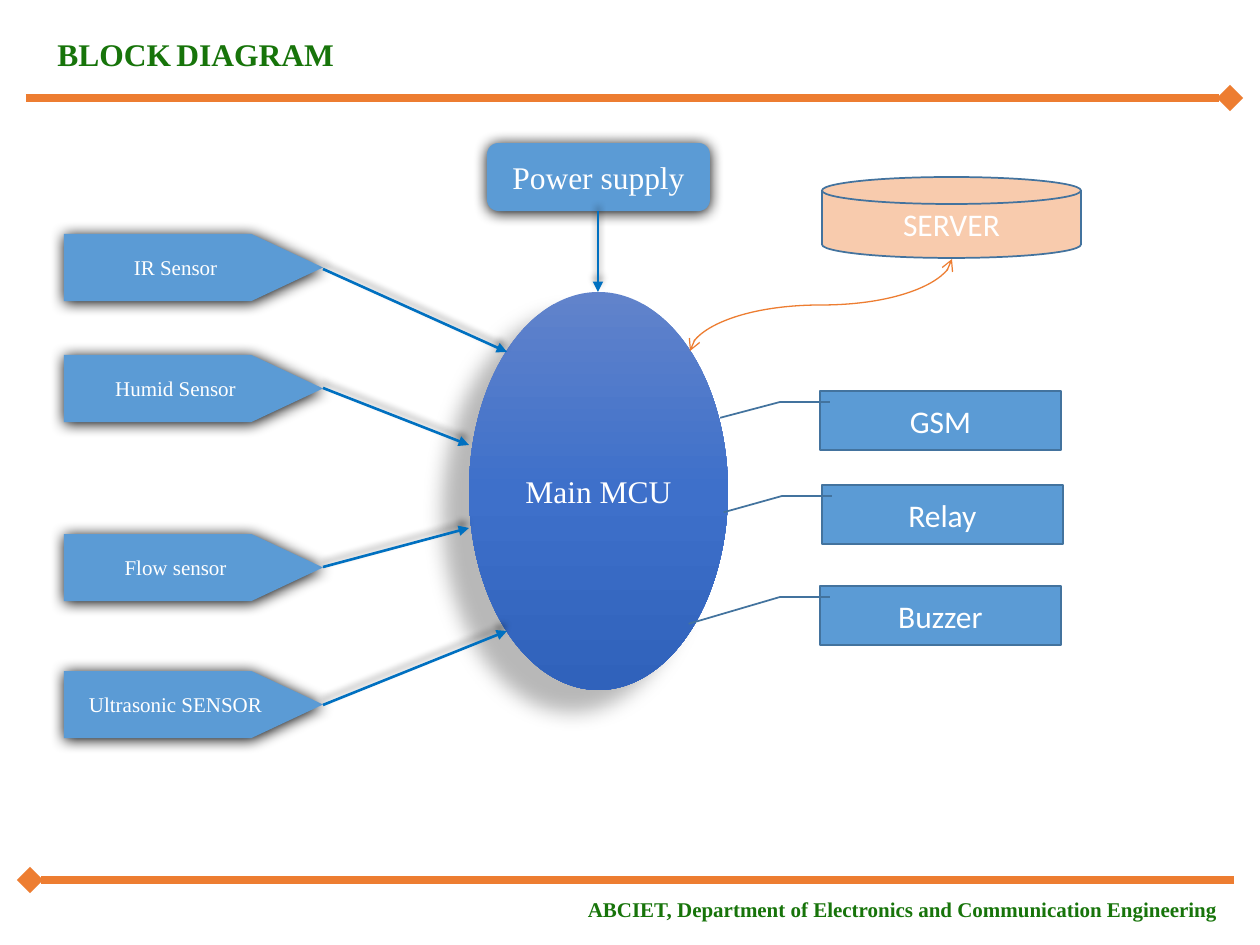
from lxml import etree
from copy import deepcopy
from pptx import Presentation
from pptx.dml.color import RGBColor
from pptx.enum.shapes import MSO_CONNECTOR, MSO_SHAPE
from pptx.enum.text import MSO_ANCHOR, PP_ALIGN
from pptx.oxml.ns import qn
from pptx.util import Emu, Pt

ELLIPSE = MSO_SHAPE.OVAL
PLATE = MSO_SHAPE.PENTAGON
ROUNDED = MSO_SHAPE.FLOWCHART_ALTERNATE_PROCESS
DISK = MSO_SHAPE.FLOWCHART_MAGNETIC_DISK
CALLOUT = MSO_SHAPE.LINE_CALLOUT_2
STRAIGHT = MSO_CONNECTOR.STRAIGHT
CURVE = MSO_CONNECTOR.CURVE
CENTER, RIGHT, LEFT = PP_ALIGN.CENTER, PP_ALIGN.RIGHT, PP_ALIGN.LEFT
MIDDLE = MSO_ANCHOR.MIDDLE

PX = 914400 / 126
SERIF, SANS = "Times New Roman", "Calibri"
GREEN, ORANGE, BLUE, ARROW, EDGE = "17740A", "ED7D31", "5B9BD5", "0070C0", "43739E"
rgb = RGBColor.from_string
GLOW = (100, 8.5, 1, 90)
ARROW_SHADOW = (40, 4, 3, 270)


def add_shadow(effects, alpha, blur, dist, angle):
    shadow = etree.SubElement(effects, qn("a:outerShdw"), blurRad=str(Pt(blur)),
                              dist=str(Pt(dist)), dir=str(angle * 60000),
                              algn="ctr", rotWithShape="0")
    color = etree.SubElement(shadow, qn("a:srgbClr"), val="000000")
    etree.SubElement(color, qn("a:alpha"), val=str(alpha * 1000))


def add_box(kind, at, text, size, font, fill, edge=None, shadow=None, adj=()):
    sp = s.shapes.add_shape(kind, *[Emu(round(v * PX)) for v in at])
    for i, value in enumerate(adj):
        sp.adjustments[i] = value
    sp.fill.solid()
    sp.fill.fore_color.rgb = rgb(fill)
    if edge:
        sp.line.color.rgb = rgb(edge)
        sp.line.width = Pt(1)
    else:
        sp.line.fill.background()
    sp.shadow.inherit = False
    if shadow:
        add_shadow(sp._element.spPr.find(qn("a:effectLst")), *shadow)
    tf = sp.text_frame
    tf.text = text
    tf.vertical_anchor = MIDDLE
    p = tf.paragraphs[0]
    p.alignment = CENTER
    f = p.runs[0].font
    f.size, f.name, f.color.rgb = Pt(size), font, rgb("FFFFFF")
    return sp


prs = Presentation()
prs.slide_width, prs.slide_height = Emu(round(1260 * PX)), Emu(round(945 * PX))
s = prs.slides.add_slide(prs.slide_layouts[6])

texts = [
    ((45, 29, 617, 50), LEFT, [("BLOCK", 18), (" ", 12), ("DIAGRAM", 18)]),
    ((64, 890, 1166, 38), RIGHT,
     [("ABCIET, Department of Electronics and Communication Engineering", 12)]),
]
for at, align, pieces in texts:
    tf = s.shapes.add_textbox(*[Emu(round(v * PX)) for v in at]).text_frame
    tf.word_wrap = True
    p = tf.paragraphs[0]
    p.alignment = align
    for text, size in pieces:
        r = p.add_run()
        r.text = text
        f = r.font
        f.size, f.name, f.bold, f.color.rgb = Pt(size), SERIF, True, rgb(GREEN)

mcu = add_box(ELLIPSE, (469, 292, 259, 398), "Main MCU", 18, SERIF, BLUE,
              shadow=(28, 11.8, 19.7, 141))
mcu.fill.gradient()
mcu.fill.gradient_angle = 270
stops = mcu._element.spPr.find(qn("a:gradFill")).find(qn("a:gsLst"))
stops.append(deepcopy(stops[0]))
for stop, position, color in zip(mcu.fill.gradient_stops, (0, 0.5, 1),
                                 ("6183CB", "3E70CA", "3062BB")):
    stop.position = position
    stop.color.rgb = rgb(color)

sensors = [("IR Sensor", 234), ("Humid Sensor", 355),
           ("Flow sensor", 534), ("Ultrasonic SENSOR", 671)]
for text, y in sensors:
    add_box(PLATE, (64, y, 259, 67), text, 12, SERIF, BLUE, shadow=GLOW, adj=[1.067])

add_box(ROUNDED, (487, 143, 223, 68), "Power supply", 18, SERIF, BLUE, shadow=GLOW)
add_box(DISK, (822, 177, 259, 81), "SERVER", 18, SANS, "F8CBAD", EDGE)

outputs = [("GSM", 820, 391, 0.455, -0.414), ("Relay", 822, 485, 0.463, -0.408),
           ("Buzzer", 820, 586, 0.641, -0.545)]
for text, x, y, tip_y, tip_x in outputs:
    add_box(CALLOUT, (x, y, 241, 59), text, 18, SANS, BLUE, EDGE,
            adj=[0.188, 0.041, 0.188, -0.167, tip_y, tip_x])

lines = [
    (STRAIGHT, (26, 98, 1230, 98), ORANGE, 5, None, "diamond", None, 0),
    (STRAIGHT, (30, 880, 1234, 880), ORANGE, 5, "diamond", None, None, 0),
    (CURVE, (775, 174, 867, 436), ORANGE, 0.75, "arrow", "arrow", None, 90),
]
arrows = [(323, 269, 507, 352), (323, 388, 469, 445), (323, 567, 469, 528),
          (323, 705, 507, 631), (598, 211, 598, 292)]
for ends in arrows:
    lines.append((STRAIGHT, ends, ARROW, 1.5, None, "triangle", ARROW_SHADOW, 0))

for kind, ends, color, width, head, tail, shadow, turn in lines:
    cx = s.shapes.add_connector(kind, *[Emu(round(v * PX)) for v in ends])
    cx.line.color.rgb = rgb(color)
    cx.line.width = Pt(width)
    spPr = cx._element.spPr
    ln = spPr.find(qn("a:ln"))
    for tag, end in (("a:headEnd", head), ("a:tailEnd", tail)):
        if end:
            etree.SubElement(ln, qn(tag), type=end)
    effects = etree.SubElement(spPr, qn("a:effectLst"))
    if shadow:
        add_shadow(effects, *shadow)
    if turn:
        spPr.find(qn("a:xfrm")).set("rot", str(turn * 60000))

prs.save("out.pptx")
